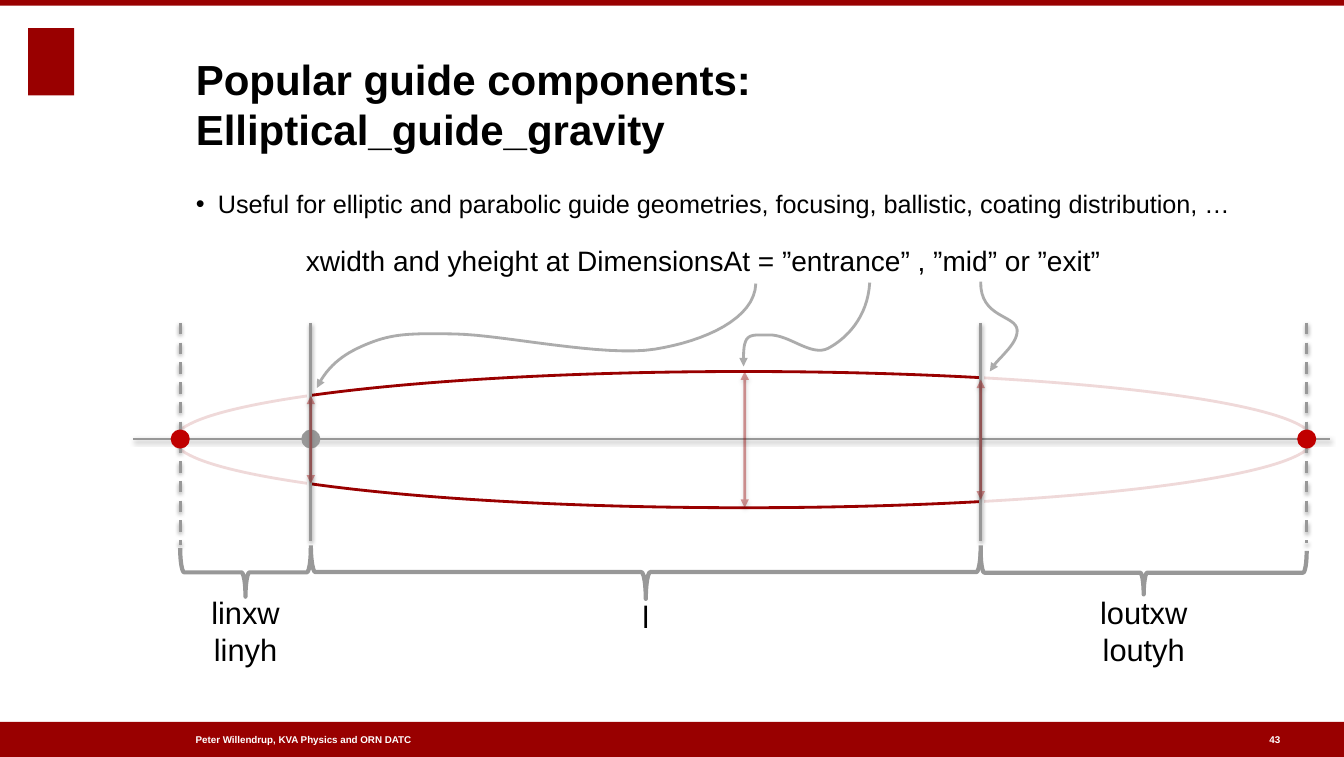
from lxml import etree
from pptx import Presentation
from pptx.dml.color import RGBColor
from pptx.enum.dml import MSO_LINE
from pptx.enum.shapes import MSO_CONNECTOR, MSO_SHAPE
from pptx.enum.text import MSO_ANCHOR, PP_ALIGN
from pptx.oxml.ns import qn
from pptx.util import Pt

RECT, OVAL, BRACE = MSO_SHAPE.RECTANGLE, MSO_SHAPE.OVAL, MSO_SHAPE.LEFT_BRACE
STRAIGHT, DASH = MSO_CONNECTOR.STRAIGHT, MSO_LINE.DASH
LEFT, CENTER = PP_ALIGN.LEFT, PP_ALIGN.CENTER
TOP, MIDDLE, BOTTOM = MSO_ANCHOR.TOP, MSO_ANCHOR.MIDDLE, MSO_ANCHOR.BOTTOM
C = {"red": "990000", "focus": "C00000", "gray": "989898", "white": "FFFFFF", "black": "000000"}
W, H = 959, 540

prs = Presentation()
prs.slide_width, prs.slide_height = Pt(W), Pt(H)
s = prs.slides.add_slide(prs.slide_layouts[5])


def add_text(text, x, y, w, h, size, color="black", bold=False, align=LEFT,
             anchor=TOP, before=0, wrap=True, sp=None):
    sp = sp or s.shapes.add_textbox(0, 0, 0, 0)
    sp.left, sp.top, sp.width, sp.height = Pt(x), Pt(y), Pt(w), Pt(h)
    tf = sp.text_frame
    tf.margin_left = tf.margin_right = tf.margin_top = tf.margin_bottom = 0
    tf.word_wrap, tf.vertical_anchor = wrap, anchor
    p = tf.paragraphs[0]
    p.text, p.alignment, p.space_before = text, align, Pt(before)
    for r in p.runs:
        r.font.name, r.font.size, r.font.bold = "Arial", Pt(size), bold
        r.font.color.rgb = RGBColor.from_string(C[color])
    return p


def style(sp, line=None, width=2, fill=None, opacity=100, line_opacity=100,
          ends=(), dash=None, shadow=False):
    if fill:
        sp.fill.solid()
        sp.fill.fore_color.rgb = RGBColor.from_string(C[fill])
    elif hasattr(sp, "fill"):
        sp.fill.background()
    if line:
        sp.line.color.rgb = RGBColor.from_string(C[line])
        sp.line.width = Pt(width)
        if dash:
            sp.line.dash_style = dash
    else:
        sp.line.fill.background()
    spPr = sp._element.spPr
    ln = spPr.find(qn("a:ln"))
    for parent, value in ((spPr, opacity), (ln, line_opacity)):
        if value < 100:
            clr = parent.find(qn("a:solidFill")).find(qn("a:srgbClr"))
            etree.SubElement(clr, qn("a:alpha"), val=str(value * 1000))
    for end in ends:
        etree.SubElement(ln, qn(end), type="triangle")
    effects = etree.SubElement(spPr, qn("a:effectLst"))
    if shadow:
        outer = etree.SubElement(effects, qn("a:outerShdw"), blurRad=str(Pt(3)),
                                 dist=str(Pt(1.6)), dir="5400000", rotWithShape="0")
        clr = etree.SubElement(outer, qn("a:srgbClr"), val=C["black"])
        etree.SubElement(clr, qn("a:alpha"), val="38000")


for x, y, w, h in ((20, 20, 33, 48), (0, 515, W, 25), (0, 0, W, 4)):
    style(s.shapes.add_shape(RECT, Pt(x), Pt(y), Pt(w), Pt(h)), fill="red")

add_text("Peter Willendrup, KVA Physics and ORN DATC", 139.7, 522.7, 268, 10, 7,
         color="white", bold=True, anchor=MIDDLE)
add_text("43", 905.8, 522.7, 10, 10, 7, color="white", bold=True, anchor=MIDDLE, wrap=False)
add_text("Popular guide components: Elliptical_guide_gravity", 139.7, 33.8, 733, 76.3, 30,
         bold=True, anchor=BOTTOM, sp=s.shapes.title)
p = add_text("Useful for elliptic and parabolic guide geometries, focusing, ballistic, "
             "coating distribution, …", 139.7, 134.6, 764.6, 358, 18, before=4)
pPr = p._p.get_or_add_pPr()
pPr.set("marL", str(Pt(15.8)))
pPr.set("indent", str(Pt(-15.8)))
etree.SubElement(pPr, qn("a:buFont"), typeface="Arial")
etree.SubElement(pPr, qn("a:buChar"), char="•")

ellipse = s.shapes.add_shape(OVAL, Pt(124.6), Pt(265), Pt(812.2), Pt(97.2))
style(ellipse, line="red", fill="white")
for x, y, w, h in ((105.8, 216, 114.5, 186.5), (701.3, 210.2, 270, 195.1)):
    mask = s.shapes.add_shape(RECT, Pt(x), Pt(y), Pt(w), Pt(h))
    style(mask, line="white", fill="white", opacity=85)

FOCUS_IN, ENTRANCE, MID, EXIT, FOCUS_OUT = 128.6, 221.8, 531.4, 699.8, 932.4
AXIS = 313.2
for x1, y1, x2, y2, dash in (
    (95, AXIS, 949, AXIS, None),
    (ENTRANCE, 230.4, ENTRANCE, 386, None),
    (EXIT, 230.4, EXIT, 386, None),
    (FOCUS_OUT, 230.4, FOCUS_OUT, 387.5, DASH),
    (FOCUS_IN, 230.4, FOCUS_IN, 388.8, DASH),
):
    line = s.shapes.add_connector(STRAIGHT, Pt(x1), Pt(y1), Pt(x2), Pt(y2))
    style(line, line="gray", dash=dash, shadow=True)

for x1, x2, top, depth, label, label_y in (
    (FOCUS_IN, ENTRANCE, 391, 34.6, "linxw\vlinyh", 423.4),
    (ENTRANCE, EXIT, 389, 38.2, "l", 426.2),
    (EXIT, FOCUS_OUT, 393, 31, "loutxw\vloutyh", 423.4),
):
    center, span = (x1 + x2) / 2, x2 - x1
    brace = s.shapes.add_shape(BRACE, Pt(center - depth / 2), Pt(top + depth / 2 - span / 2),
                               Pt(depth), Pt(span))
    brace.rotation = 270
    style(brace, line="gray", width=3)
    add_text(label, center - 47.9, label_y, 95.8, 51, 22, align=CENTER, before=9)

add_text("xwidth and yheight at DimensionsAt = ”entrance” , ”mid” or ”exit”",
         218.2, 173.5, 652.3, 22.3, 20, before=9)

for x, color in ((FOCUS_IN, "focus"), (FOCUS_OUT, "focus"), (ENTRANCE, "gray")):
    dot = s.shapes.add_shape(OVAL, Pt(x - 5.8), Pt(AXIS - 5.8), Pt(11.6), Pt(11.6))
    style(dot, line=color, fill=color)

for x, half_height in ((MID, 48.6), (EXIT, 42.8), (ENTRANCE, 31.3)):
    arrow = s.shapes.add_connector(STRAIGHT, Pt(x), Pt(AXIS + 0.4 - half_height),
                                   Pt(x), Pt(AXIS + 0.4 + half_height))
    style(arrow, line="red", line_opacity=40, ends=("a:headEnd", "a:tailEnd"), shadow=True)

STEPS = 16
pointers = (
    ((539.3, 202.3), (538.6, 227.5), (502.6, 243.4), (467.3, 249.1), (431.3, 254.9),
     (359.3, 239), (325.4, 238.3), (291.6, 237.6), (280.1, 238.3), (263.5, 244.8),
     (247, 251.3), (234, 259.9), (226.1, 276.8)),
    ((620.6, 201.6), (619.2, 226.8), (603.4, 241.9), (591.1, 248.4), (578.9, 254.9),
     (563, 238.3), (548.6, 239), (533.5, 239), (529.9, 236.9), (530.6, 261.4)),
    ((699.8, 200.9), (699.1, 226.8), (725, 224.6), (725.8, 235.4), (726.5, 246.2),
     (709.9, 257), (706.3, 265)),
)
for knots in pointers:
    points = []
    for i in range(0, len(knots) - 1, 3):
        for step in range(1, STEPS + 1):
            t = step / STEPS
            weights = ((1 - t) ** 3, 3 * t * (1 - t) ** 2, 3 * t * t * (1 - t), t ** 3)
            points.append([Pt(sum(k * knot[axis] for k, knot in zip(weights, knots[i:i + 4])))
                           for axis in (0, 1)])
    builder = s.shapes.build_freeform(Pt(knots[0][0]), Pt(knots[0][1]))
    builder.add_line_segments(points, close=False)
    style(builder.convert_to_shape(), line="gray", line_opacity=80, ends=("a:tailEnd",))

prs.save("out.pptx")
